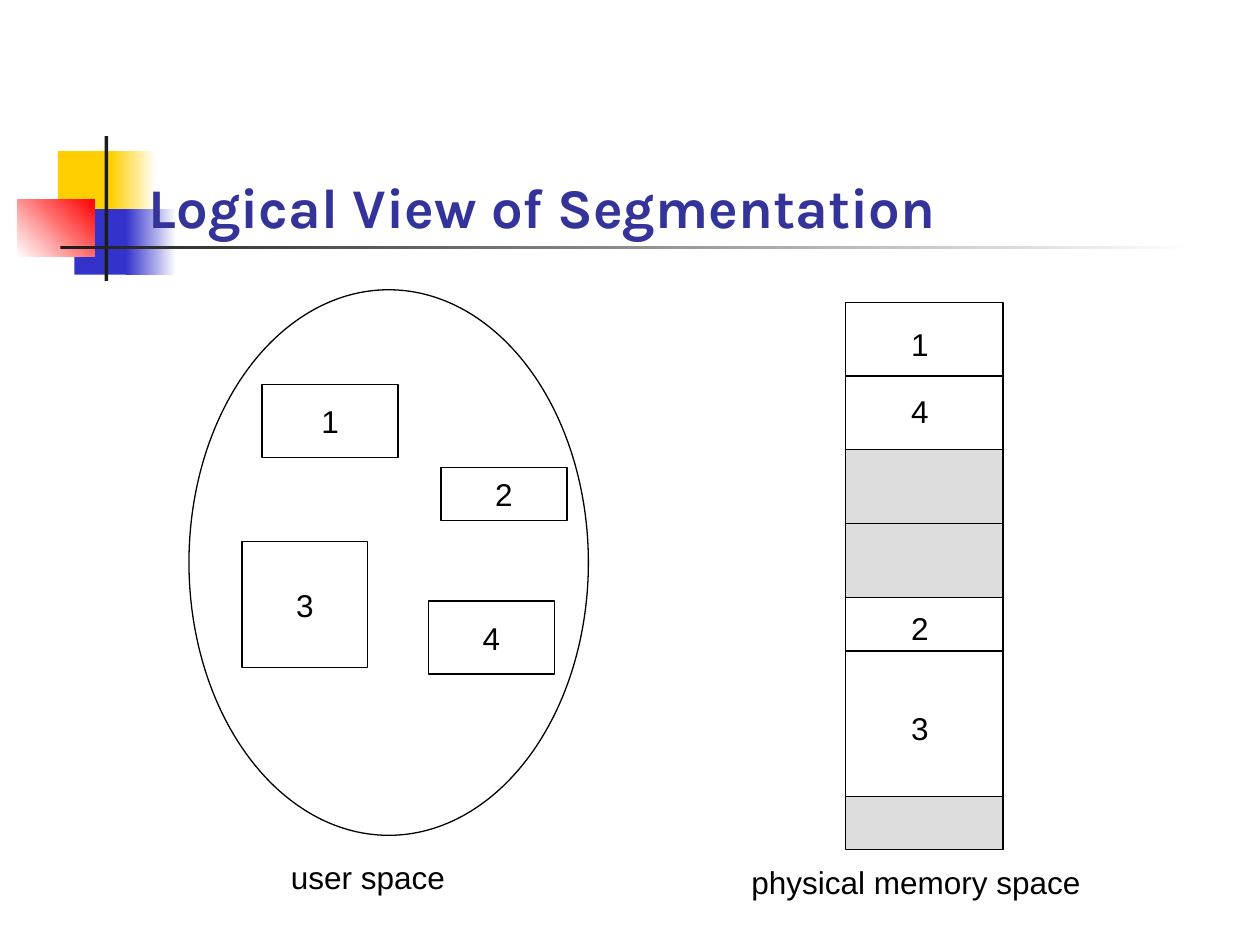
"""Build the slide on the logical view of segmentation."""
from pptx import Presentation
from pptx.dml.color import RGBColor
from pptx.enum.shapes import MSO_CONNECTOR, MSO_SHAPE
from pptx.enum.text import MSO_ANCHOR, MSO_AUTO_SIZE, PP_ALIGN
from pptx.oxml.ns import qn
from pptx.util import Inches, Pt

WIDTH, HEIGHT = 10, 7.5
COLORS = {
    "yellow": "FFCF01", "blue": "3333CC", "red": "FF0000", "bar": "1C1C1C",
    "title": "333399", "ink": "000000", "white": "FFFFFF", "taken": "DDDDDD",
}
TITLE = "Logical View of Segmentation"
TITLE_AREA = (1.08, 0.35, 8.52, 1.6)
TITLE_FONT = {"name": "Karla", "size": Pt(32), "bold": True}
LABEL_FONT = {"name": "Arial", "size": Pt(18), "bold": False}

EMBLEM = [
    ((0.46, 1.2, 0.48, 0.52), ("yellow",), 0),
    ((0.88, 1.2, 0.36, 0.52), ("yellow", "white"), 0),
    ((0.59, 1.66, 0.46, 0.52), ("blue",), 0),
    ((1, 1.66, 0.4, 0.52), ("blue", "white"), 0),
    ((0.14, 1.58, 0.61, 0.46), ("white", "red"), 45),
    ((0.83, 1.08, 0.03, 1.15), ("bar",), 0),
    ((0.48, 1.95, 9, 0.03), ("bar", "white"), 0),
]

USER_SPACE = (1.5, 2.3, 3.17, 4.33)
SEGMENTS = [
    ("1", (2.08, 3.05, 1.08, 0.58)),
    ("3", (1.92, 4.3, 1, 1)),
    ("2", (3.5, 3.71, 1, 0.42)),
    ("4", (3.4, 4.77, 1, 0.58)),
]

MEMORY_LEFT, MEMORY_TOP, MEMORY_WIDTH = 6.71, 2.4, 1.25
FRAMES = [
    (1.17, "white", 0.5),
    (1.17, "taken", 0.5),
    (1.58, "white", 0.27),
    (0.42, "taken", None),
]
LABEL_HEIGHT = 0.4
LABELS = [
    ("1", 7.3, 2.73, 0.34),
    ("4", 7.3, 3.26, 0.34),
    ("2", 7.3, 4.98, 0.34),
    ("3", 7.3, 5.78, 0.34),
    ("physical memory space", 7.27, 7, 2.81),
    ("user space", 2.92, 6.96, 1.4),
]


def rgb(color):
    return RGBColor.from_string(COLORS[color])


def style(target, values):
    for name, value in values.items():
        setattr(target, name, value)


def write(frame, text, font, color, align, anchor, wrap):
    style(frame, {"text": text, "word_wrap": wrap, "vertical_anchor": anchor,
                  "auto_size": MSO_AUTO_SIZE.NONE})
    paragraph = frame.paragraphs[0]
    paragraph.alignment = align
    run = paragraph.runs[0]
    style(run.font, font)
    run.font.color.rgb = rgb(color)


def write_label(frame, text):
    write(frame, text, LABEL_FONT, "ink", PP_ALIGN.CENTER, MSO_ANCHOR.MIDDLE, False)


def add_block(shapes, area, colors, angle=0, outlined=True, kind=MSO_SHAPE.RECTANGLE):
    block = shapes.add_shape(kind, *map(Inches, area))
    block.shadow.inherit = False
    if len(colors) == 1:
        block.fill.solid()
        block.fill.fore_color.rgb = rgb(colors[0])
    else:
        block.fill.gradient()
        block.fill.gradient_angle = angle
        for stop, color, position in zip(block.fill.gradient_stops, colors, (0, 1)):
            stop.color.rgb = rgb(color)
            stop.position = position
    if outlined:
        block.line.color.rgb = rgb("ink")
        block.line.width = Pt(0.75)
    else:
        block.line.fill.background()
    return block


def add_divider(shapes, frame, top, height, share):
    y = Inches(top + height * share)
    divider = shapes.add_connector(MSO_CONNECTOR.STRAIGHT, Inches(MEMORY_LEFT), y,
                                   Inches(MEMORY_LEFT + MEMORY_WIDTH), y)
    if share == 0.5:
        divider.begin_connect(frame, 1)
        divider.end_connect(frame, 3)
    divider.line.color.rgb = rgb("ink")
    divider.line.width = Pt(0.75)
    properties = divider.element.spPr
    properties.append(properties.makeelement(qn("a:effectLst"), {}))


def add_memory(shapes):
    top = MEMORY_TOP
    for height, color, share in FRAMES:
        frame = add_block(shapes, (MEMORY_LEFT, top, MEMORY_WIDTH, height), (color,))
        if share is not None:
            add_divider(shapes, frame, top, height, share)
        top += height


def main():
    deck = Presentation()
    deck.slide_width, deck.slide_height = Inches(WIDTH), Inches(HEIGHT)
    slide = deck.slides.add_slide(deck.slide_layouts[5])
    shapes = slide.shapes

    for area, colors, angle in EMBLEM:
        add_block(shapes, area, colors, angle, outlined=False)

    title = shapes.title
    style(title, dict(zip(("left", "top", "width", "height"), map(Inches, TITLE_AREA))))
    write(title.text_frame, TITLE, TITLE_FONT, "title",
          PP_ALIGN.LEFT, MSO_ANCHOR.BOTTOM, True)
    title.element.getparent().append(title.element)

    add_memory(shapes)
    add_block(shapes, USER_SPACE, ("white",), kind=MSO_SHAPE.OVAL)
    for number, area in SEGMENTS:
        write_label(add_block(shapes, area, ("white",)).text_frame, number)
    for text, center, middle, width in LABELS:
        area = (center - width / 2, middle - LABEL_HEIGHT / 2, width, LABEL_HEIGHT)
        write_label(shapes.add_textbox(*map(Inches, area)).text_frame, text)

    deck.save("out.pptx")


if __name__ == "__main__":
    main()
